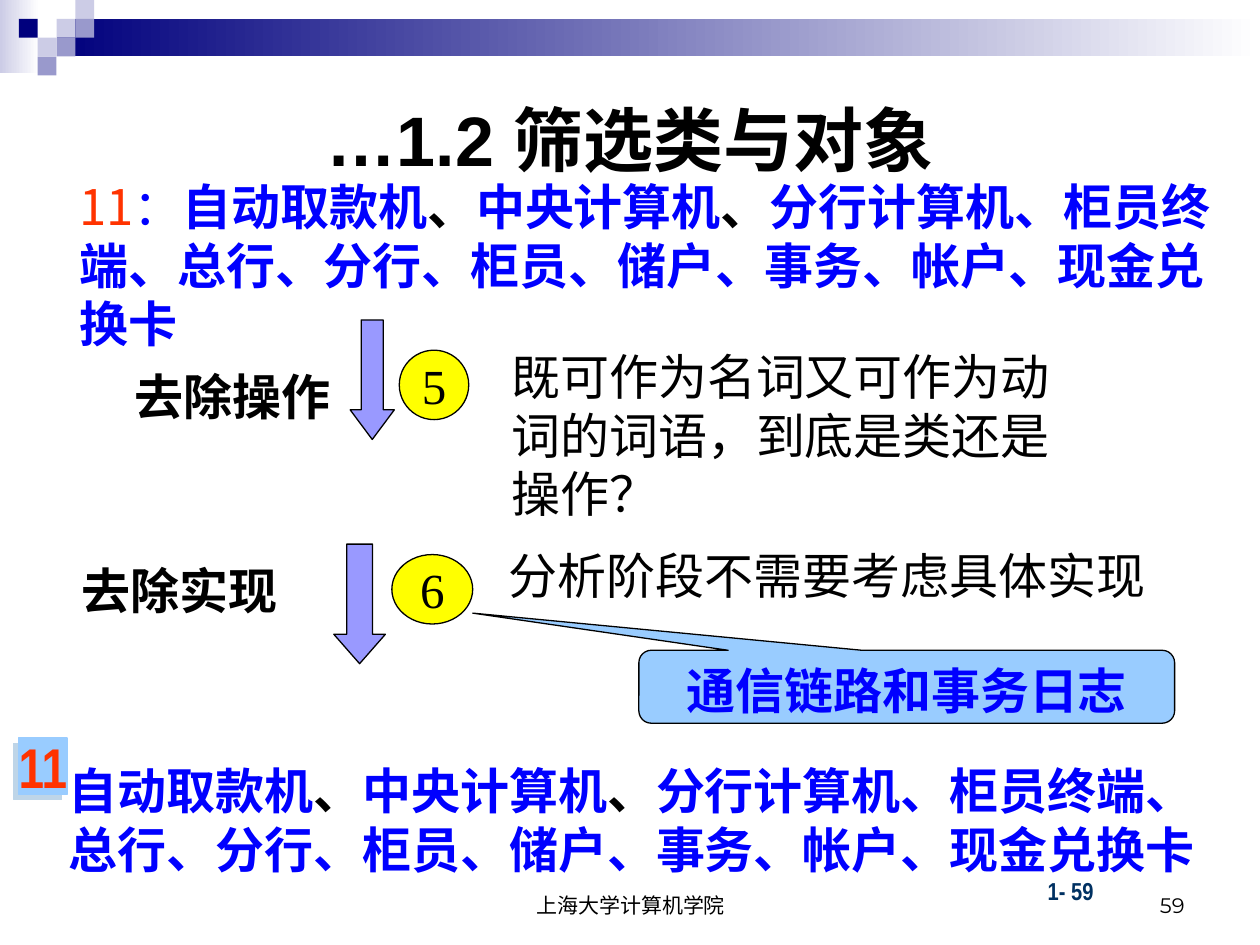
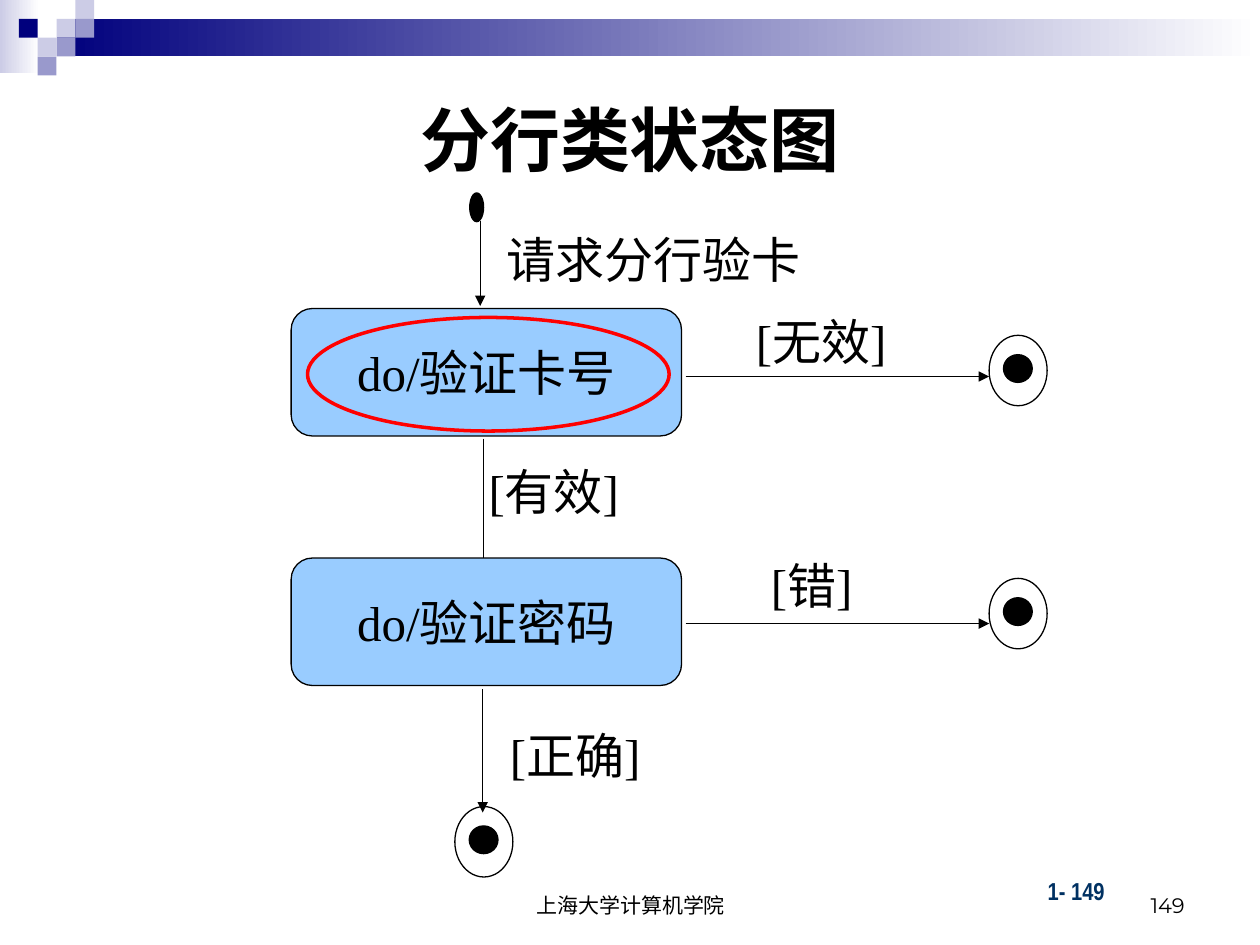
from lxml import etree
from pptx import Presentation
from pptx.dml.color import RGBColor
from pptx.enum.shapes import MSO_CONNECTOR, MSO_SHAPE as Shape
from pptx.enum.text import MSO_ANCHOR as Anchor, PP_ALIGN as Align
from pptx.oxml import parse_xml
from pptx.oxml.ns import nsdecls, qn
from pptx.util import Cm, Pt

BLACK = RGBColor(0x00, 0x00, 0x00)
WHITE = RGBColor(0xFF, 0xFF, 0xFF)
NAVY = RGBColor(0x00, 0x00, 0x7D)
LILAC = RGBColor(0x99, 0x99, 0xCC)
PALE_LILAC = RGBColor(0xCC, 0xCC, 0xE6)
PAGE_BLUE = RGBColor(0x00, 0x31, 0x62)
BLUE = RGBColor(0x00, 0x00, 0xFF)
SKY = RGBColor(0x99, 0xCC, 0xFF)
VIOLET = RGBColor(0x99, 0x99, 0xFF)
YELLOW = RGBColor(0xFF, 0xFF, 0x00)
ORANGE = RGBColor(0xFF, 0x33, 0x00)
RED = RGBColor(0xFF, 0x00, 0x00)

SERIF = "Times New Roman"
SANS = "Arial"
NARROW = "Arial Narrow"
CHINESE = "Noto Sans CJK SC"
LINE_HEIGHT = 1.2

# Step of the corner mosaic, and its squares as (column, row, colour)
TILE = 0.38
MOSAIC = [
    (3, 1, PALE_LILAC), (4, 0, PALE_LILAC), (4, 1, LILAC), (2, 2, PALE_LILAC),
    (1, 1, NAVY), (3, 2, LILAC), (2, 3, LILAC),
]

# Candidate classes, with black separators after the first two
CLASS_RUNS = [
    ("自动取款机", {"color": BLUE}), ("、", {}),
    ("中央计算机", {"color": BLUE}), ("、", {}),
    ("分行计算机、柜员终端、总行、分行、柜员、储户、事务、帐户、现金兑换卡",
     {"color": BLUE}),
]


# ---- Element helpers: boxes are (left, top, width, height) in centimetres ----

def write_text(shape, text, *, size=28, font=SERIF, color=BLACK, bold=False,
               align=Align.LEFT, anchor=Anchor.TOP, wrap=True):
    """Write a string, or a list of (string, changed format) runs."""
    frame = shape.text_frame
    frame.word_wrap = wrap
    frame.vertical_anchor = anchor
    paragraph = frame.paragraphs[0]
    paragraph.alignment = align
    paragraph.line_spacing = Pt(size * LINE_HEIGHT)
    runs = [(text, {})] if isinstance(text, str) else text
    for words, changes in runs:
        run = paragraph.add_run()
        run.text = words
        run.font.size = Pt(size)
        run.font.name = changes.get("font", font)
        run.font.bold = changes.get("bold", bold)
        run.font.color.rgb = changes.get("color", color)
        east_asian = etree.SubElement(run.font._element, qn("a:ea"))
        east_asian.set("typeface", CHINESE)


def add_text(slide, box, text, **text_format):
    shape = slide.shapes.add_textbox(*map(Cm, box))
    write_text(shape, text, **text_format)


def add_figure(slide, kind, box, *, fill=None, line=BLACK, width=0.75):
    shape = slide.shapes.add_shape(kind, *map(Cm, box))
    shape.shadow.inherit = False
    if fill is None:
        shape.fill.background()
    else:
        shape.fill.solid()
        shape.fill.fore_color.rgb = fill
    if line is None:
        shape.line.fill.background()
    else:
        shape.line.color.rgb = line
        shape.line.width = Pt(width)
    return shape


def add_fade(slide, box, color):
    shape = add_figure(slide, Shape.RECTANGLE, box, line=None)
    shape.fill.gradient()
    shape.fill.gradient_angle = 0
    for stop, position, stop_color in zip(shape.fill.gradient_stops, (0, 1), (color, WHITE)):
        stop.position = position
        stop.color.rgb = stop_color


def add_line(slide, start, end, arrow=True):
    connector = slide.shapes.add_connector(MSO_CONNECTOR.STRAIGHT, *map(Cm, start + end))
    connector.line.color.rgb = BLACK
    connector.line.width = Pt(0.75)
    if arrow:
        head = etree.SubElement(connector.line._get_or_add_ln(), qn("a:tailEnd"))
        head.set("type", "triangle")
    etree.SubElement(connector._element.spPr, qn("a:effectLst"))


def add_down_arrow(slide, box, head):
    shape = add_figure(slide, Shape.DOWN_ARROW, box, fill=VIOLET)
    shape.adjustments[0] = 0.5
    shape.adjustments[1] = head


def add_step_number(slide, box, number):
    shape = add_figure(slide, Shape.OVAL, box, fill=YELLOW)
    write_text(shape, number, align=Align.CENTER, anchor=Anchor.MIDDLE, wrap=False)


def add_callout(slide, box, text):
    shape = add_figure(slide, Shape.ROUNDED_RECTANGULAR_CALLOUT, box, fill=SKY)
    for index, value in enumerate((-0.81, -1.01, 0.17)):
        shape.adjustments[index] = value
    write_text(shape, text, color=BLUE, bold=True, align=Align.CENTER)


def add_count_badge(slide, box, count):
    shape = add_figure(slide, Shape.RECTANGLE, box, fill=SKY, line=SKY)
    shape._element.spPr.remove(shape._element.spPr.find(qn("a:effectLst")))
    shape._element.spPr.append(parse_xml(
        f'<a:effectLst {nsdecls("a")}><a:outerShdw dist="{Pt(4.2)}" dir="8100000">'
        '<a:srgbClr val="BED5E8"/></a:outerShdw></a:effectLst>'))
    write_text(shape, count, size=32, font=NARROW, color=ORANGE, bold=True,
               align=Align.CENTER, anchor=Anchor.MIDDLE, wrap=False)


def add_state(slide, top, text):
    shape = add_figure(slide, Shape.FLOWCHART_ALTERNATE_PROCESS,
                       (5.87, top, 7.87, 2.57), fill=SKY)
    write_text(shape, text, align=Align.CENTER, anchor=Anchor.MIDDLE, wrap=False)


def add_final_state(slide, left, top):
    add_figure(slide, Shape.FLOWCHART_CONNECTOR,
               (left + 0.29, top + 0.39, 0.58, 0.56), fill=BLACK)
    add_figure(slide, Shape.FLOWCHART_CONNECTOR, (left, top, 1.17, 1.42))


# ---- Shared frame of every slide ----

def add_base_slide(presentation, title, number):
    slide = presentation.slides.add_slide(presentation.slide_layouts[6])
    add_fade(slide, (0, 0, 0.79, 1.47), PALE_LILAC)
    add_fade(slide, (3 * TILE, TILE, 25.4 - 3 * TILE, 2 * TILE), NAVY)
    for column, row, color in MOSAIC:
        add_figure(slide, Shape.RECTANGLE, (column * TILE, row * TILE, TILE, TILE),
                   fill=color, line=None)
    add_text(slide, (20.87, 17.53, 2.9, 0.84), f"1- {number}",
             size=14, font=NARROW, color=PAGE_BLUE, bold=True)
    add_text(slide, (8.69, 17.35, 8.05, 1.27), "上海大学计算机学院",
             size=12, font=SANS, align=Align.CENTER, anchor=Anchor.BOTTOM)
    add_text(slide, (18.21, 17.35, 5.92, 1.27), str(number),
             size=12, font="Montserrat", align=Align.RIGHT, anchor=Anchor.BOTTOM)
    add_text(slide, (1.27, 1.27, 22.86, 3.05), title,
             size=40, font=SANS, bold=True, align=Align.CENTER, anchor=Anchor.MIDDLE)
    return slide


# ---- Slides ----

def build_class_screening(presentation):
    slide = add_base_slide(presentation, "…1.2 筛选类与对象", 59)

    # Classes before and after screening
    count_runs = [("11", {"font": CHINESE, "color": ORANGE, "bold": False}),
                  ("：", {"font": CHINESE, "color": BLUE, "bold": False})]
    add_text(slide, (1.35, 3.43, 23.65, 3.81), count_runs + CLASS_RUNS, bold=True)
    add_text(slide, (1.14, 15.21, 23.65, 2.64), CLASS_RUNS, bold=True)

    # Step 5: remove operations
    add_down_arrow(slide, (7.06, 6.45, 0.89, 2.41), 0.67)
    add_text(slide, (2.46, 7.26, 6.81, 1.45), "去除操作", bold=True)
    add_text(slide, (10.06, 6.86, 11.81, 3.81),
             "既可作为名词又可作为动词的词语，到底是类还是操作？")
    add_step_number(slide, (8.05, 7.06, 1.4, 1.4), "5")

    # Step 6: remove implementation
    add_text(slide, (1.4, 11.18, 7.9, 1.45), "去除实现", bold=True)
    add_text(slide, (10.01, 10.87, 13.72, 1.45), "分析阶段不需要考虑具体实现")
    add_down_arrow(slide, (6.73, 10.97, 1.04, 2.41), 0.57)
    add_step_number(slide, (7.9, 11.18, 1.63, 1.4), "6")
    add_callout(slide, (12.88, 13.11, 10.8, 1.47), "通信链路和事务日志")
    add_count_badge(slide, (0.38, 14.88, 0.97, 1.14), "11")


def build_branch_states(presentation):
    slide = add_base_slide(presentation, "分行类状态图", 149)

    # Transitions
    add_line(slide, (9.68, 4.45), (9.68, 6.17))
    add_line(slide, (9.75, 8.84), (9.75, 11.33), arrow=False)
    add_line(slide, (9.73, 13.89), (9.73, 16.38))
    for y in (7.59, 12.57):
        add_line(slide, (13.82, y), (19.94, y))

    # States
    add_figure(slide, Shape.OVAL, (9.47, 3.89, 0.28, 0.58), fill=BLACK)
    add_state(slide, 6.22, "do/验证卡号")
    add_state(slide, 11.25, "do/验证密码")
    for left, top in ((9.17, 16.26), (19.94, 6.76), (19.94, 11.66)):
        add_final_state(slide, left, top)

    # Events and conditions
    for left, top, width, label in (
        (9.96, 4.5, 6.78, "请求分行验卡"),
        (14.99, 6.15, 5.84, "[无效]"),
        (9.6, 9.19, 5.82, "[有效]"),
        (15.29, 11.07, 2.92, "[错]"),
        (10.03, 14.5, 5.84, "[正确]"),
    ):
        add_text(slide, (left, top, width, 1.45), label)

    # Highlight on the first check
    add_figure(slide, Shape.OVAL, (6.2, 6.4, 7.29, 2.29), line=RED, width=2)


def main():
    presentation = Presentation()
    presentation.slide_width = Cm(25.4)
    presentation.slide_height = Cm(19.05)
    build_class_screening(presentation)
    build_branch_states(presentation)
    presentation.save("out.pptx")


if __name__ == "__main__":
    main()
